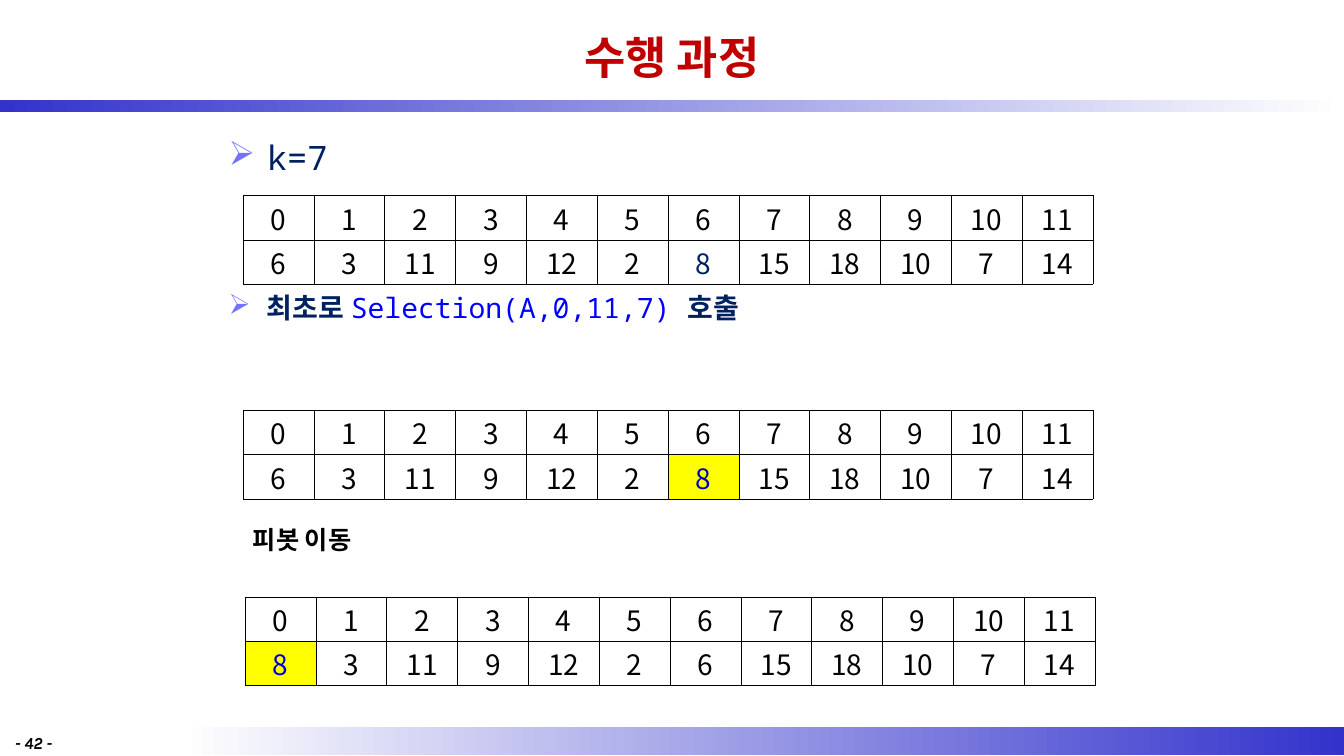
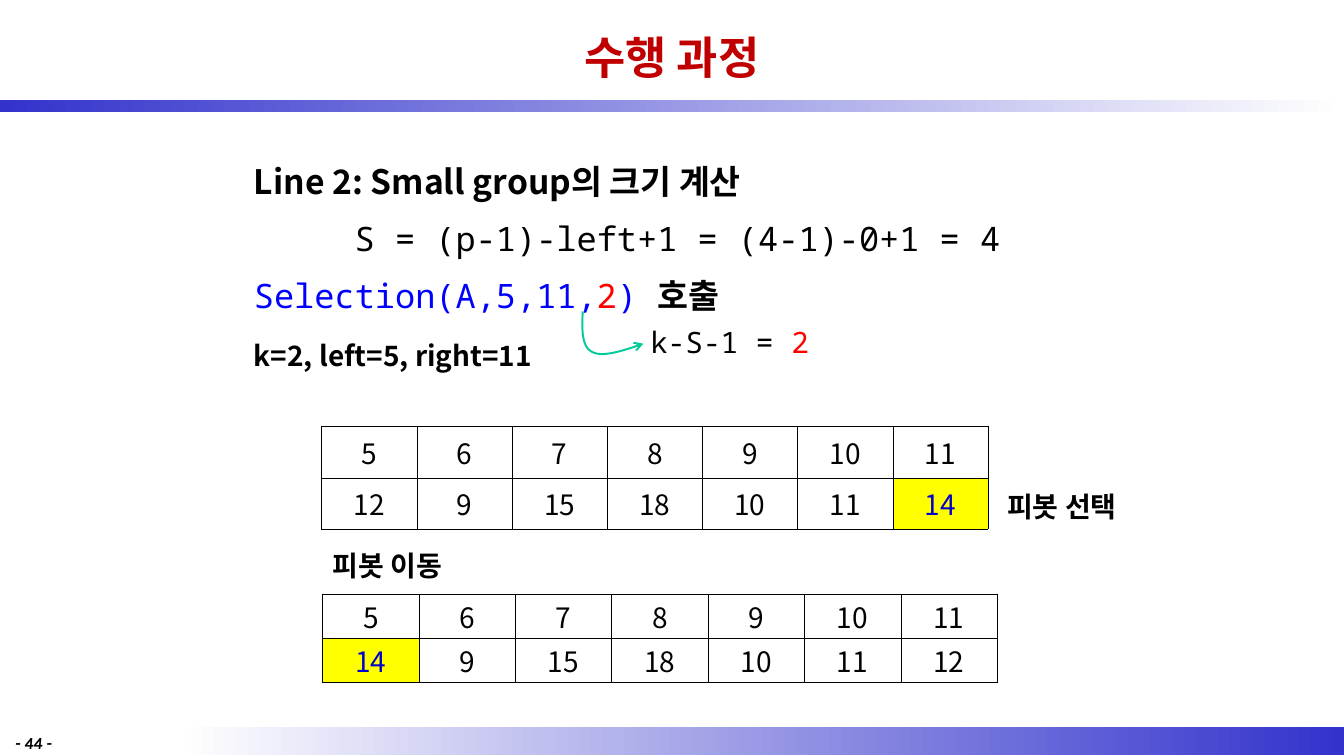
from lxml import etree
from pptx import Presentation
from pptx.dml.color import RGBColor
from pptx.enum.shapes import MSO_SHAPE
from pptx.enum.text import MSO_ANCHOR, PP_ALIGN
from pptx.oxml.ns import qn
from pptx.util import Inches, Pt

RECTANGLE = MSO_SHAPE.RECTANGLE
MIDDLE, TOP = MSO_ANCHOR.MIDDLE, MSO_ANCHOR.TOP
LEFT, CENTER = PP_ALIGN.LEFT, PP_ALIGN.CENTER

KOREAN, MONO, FOOTER = "Noto Sans CJK KR", "Noto Sans Mono", "Karla"
BLACK, WHITE, BAND = "000000", "FFFFFF", "3333CC"
TITLE, NAVY, CODE, RED = "C00000", "002060", "0000FF", "FF0000"
BULLET, ARROW = "7373FF", "00CC99"
PIVOT, PIVOT_TEXT = "FFFF00", "0000CC"
WIDTH, HEIGHT = 13.33, 7.5


def rgb(value):
    return RGBColor.from_string(value)


def inches(*lengths):
    return [Inches(length) for length in lengths]


# Text
def add_span(para, text, size=20, font=KOREAN, color=BLACK, bold=False, italic=False):
    span = para.add_run()
    span.text = text
    style = span.font
    style.size, style.bold, style.italic = Pt(size), bold, italic
    style.name = font
    style.color.rgb = rgb(color)
    latin = span._r.rPr.find(qn("a:latin"))
    latin.addnext(latin.makeelement(qn("a:ea"), {"typeface": font}))


def add_frame(page, box, anchor=TOP):
    frame = page.shapes.add_textbox(*inches(*box)).text_frame
    frame.word_wrap = True
    frame.vertical_anchor = anchor
    return frame


def add_para(frame, spans, align=LEFT, before=0, after=0, spacing=1.0,
             margin=0, bullet=False):
    """Fill the first paragraph if it is still empty, else add one."""
    para = frame.paragraphs[0]
    if para.runs:
        para = frame.add_paragraph()
    para.alignment = align
    para.space_before, para.space_after = Pt(before), Pt(after)
    para.line_spacing = spacing
    properties = para._p.get_or_add_pPr()
    properties.set("marL", str(Inches(margin)))
    properties.set("indent", str(-Inches(margin) if bullet else 0))
    if bullet:
        color = etree.SubElement(properties, qn("a:buClr"))
        etree.SubElement(color, qn("a:srgbClr"), val=BULLET)
        etree.SubElement(properties, qn("a:buChar"), char="➢")
    for text, style in spans:
        add_span(para, text, **style)


def add_label(page, box, text, **style):
    add_para(add_frame(page, box), [(text, style)])


# Shared slide frame
def add_band(page, box, start, end):
    band = page.shapes.add_shape(RECTANGLE, *inches(*box))
    band.shadow.inherit = False
    band.line.fill.background()
    band.fill.gradient()
    band.fill.gradient_angle = 0
    for stop, color, position in zip(band.fill.gradient_stops, (start, end), (0, 1)):
        stop.color.rgb = rgb(color)
        stop.position = position


def add_page(deck, title, number):
    page = deck.slides.add_slide(deck.slide_layouts[6])
    add_band(page, (1.78, 7.21, 11.55, 0.28), WHITE, BAND)
    add_band(page, (0, 0.99, WIDTH, 0.12), BAND, WHITE)
    heading = add_frame(page, (1, 0.05, 11.33, 1.03), MIDDLE)
    add_para(heading, [(title, dict(size=32, color=TITLE, bold=True))], CENTER)
    add_label(page, (0.05, 7.22, 0.95, 0.24), f"- {number} -",
              size=12, font=FOOTER, bold=True, italic=True)
    return page


# Array table: indices above values
def style_cell(cell, text, fill, color):
    cell.fill.solid()
    cell.fill.fore_color.rgb = rgb(fill)
    cell.vertical_anchor = MIDDLE
    cell.margin_left = cell.margin_right = Inches(0.07)
    cell.margin_top = cell.margin_bottom = Inches(0.02)
    add_para(cell.text_frame, [(str(text), dict(color=color))], CENTER)
    properties = cell._tc.get_or_add_tcPr()
    for place, side in enumerate(("lnL", "lnR", "lnT", "lnB")):
        border = properties.makeelement(qn(f"a:{side}"), {"w": str(Pt(0.28))})
        fill_part = etree.SubElement(border, qn("a:solidFill"))
        etree.SubElement(fill_part, qn("a:srgbClr"), val=BLACK)
        properties.insert(place, border)


def add_array(page, box, first, values, marked, mark=(PIVOT, PIVOT_TEXT)):
    """marked is the column whose value gets the fill and text colour in mark."""
    count = len(values)
    table = page.shapes.add_table(2, count, *inches(*box)).table
    table.first_row = table.horz_banding = False
    for column in table.columns:
        column.width = Inches(box[2] / count)
    for row in table.rows:
        row.height = Inches(box[3] / 2)
    for column, value in enumerate(values):
        style_cell(table.cell(0, column), first + column, WHITE, BLACK)
        fill, color = mark if column == marked else (WHITE, BLACK)
        style_cell(table.cell(1, column), value, fill, color)


# Curved arrow
def curve_points(start, controls, steps=12):
    """Points along a chain of cubic curves."""
    points = [start]
    for first, second, end in controls:
        for step in range(1, steps + 1):
            t = step / steps
            weights = ((1 - t) ** 3, 3 * t * (1 - t) ** 2, 3 * t * t * (1 - t), t ** 3)
            corners = (start, first, second, end)
            points.append(tuple(sum(w * corner[axis] for w, corner in zip(weights, corners))
                                for axis in (0, 1)))
        start = end
    return points


def add_curved_arrow(page, left, top):
    controls = [((-0.01, 0.18), (-0.01, 0.35), (0.09, 0.4)),
                ((0.19, 0.46), (0.4, 0.39), (0.6, 0.32))]
    points = [inches(left + x, top + y) for x, y in curve_points((0, 0), controls)]
    builder = page.shapes.build_freeform(*points[0])
    builder.add_line_segments(points[1:], close=False)
    arrow = builder.convert_to_shape()
    arrow.shadow.inherit = False
    arrow.fill.background()
    arrow.line.color.rgb = rgb(ARROW)
    arrow.line.width = Pt(1.38)
    etree.SubElement(arrow._element.spPr.find(qn("a:ln")), qn("a:tailEnd"), type="arrow")


# Slides
def build_first_call(deck):
    page = add_page(deck, "수행 과정", 42)
    steps = add_frame(page, (2.17, 1.31, 9, 4.49))
    strong = dict(color=NAVY, bold=True)
    add_para(steps, [("k=7", dict(size=24, font=MONO, color=NAVY))],
             margin=0.38, bullet=True)
    add_para(steps, [("최초로 ", strong),
                     ("Selection(A,0,11,7) ", dict(font=MONO, color=CODE)),
                     ("호출", strong)],
             before=81, margin=0.38, bullet=True)

    values = [6, 3, 11, 9, 12, 2, 8, 15, 18, 10, 7, 14]
    pivot = values.index(8)
    moved = list(values)
    moved[0], moved[pivot] = moved[pivot], moved[0]
    add_array(page, (2.41, 1.94, 8.43, 0.88), 0, values, pivot, (WHITE, NAVY))
    add_array(page, (2.41, 4.07, 8.43, 0.88), 0, values, pivot)
    add_array(page, (2.43, 5.92, 8.43, 0.88), 0, moved, 0)
    add_label(page, (2.41, 5.15, 1.58, 0.4), "피봇 이동", size=18, bold=True)


def build_second_call(deck):
    page = add_page(deck, "수행 과정", 44)
    body = add_frame(page, (2.42, 1.47, 8.5, 2.76))
    strong = dict(size=24, bold=True)
    mono = dict(size=24, font=MONO)
    code = dict(mono, color=CODE)
    add_para(body, [("Line 2: Small group의 크기 계산", strong)], spacing=1.2)
    add_para(body, [("S = (p-1)-left+1 = (4-1)-0+1 = 4", mono)],
             before=6, after=6, spacing=1.2, margin=1)
    add_para(body, [("Selection(A,5,11,", code), ("2", dict(mono, color=RED)),
                    (") ", code), ("호출", strong)], after=12, spacing=1.2)
    add_para(body, [("k=2, left=5, right=11", dict(bold=True))], after=12, spacing=1.2)

    # Where the new k comes from
    note = add_frame(page, (6.35, 3.17, 2.13, 0.45))
    add_para(note, [("k-S-1 = ", dict(size=21, font=MONO)),
                    ("2", dict(size=21, font=MONO, color=RED))])
    add_curved_arrow(page, 5.78, 3.09)

    # Pivot chosen, then moved to the front
    values = [12, 9, 15, 18, 10, 11, 14]
    moved = values[-1:] + values[1:-1] + values[:1]
    add_array(page, (3.19, 4.23, 6.61, 1.02), 5, values, len(values) - 1)
    add_array(page, (3.2, 5.89, 6.69, 0.88), 5, moved, 0)
    add_label(page, (9.89, 4.81, 1.62, 0.44), "피봇 선택", bold=True)
    add_label(page, (3.2, 5.39, 1.62, 0.44), "피봇 이동", bold=True)


def main():
    deck = Presentation()
    deck.slide_width, deck.slide_height = inches(WIDTH, HEIGHT)
    build_first_call(deck)
    build_second_call(deck)
    deck.save("out.pptx")


if __name__ == "__main__":
    main()
